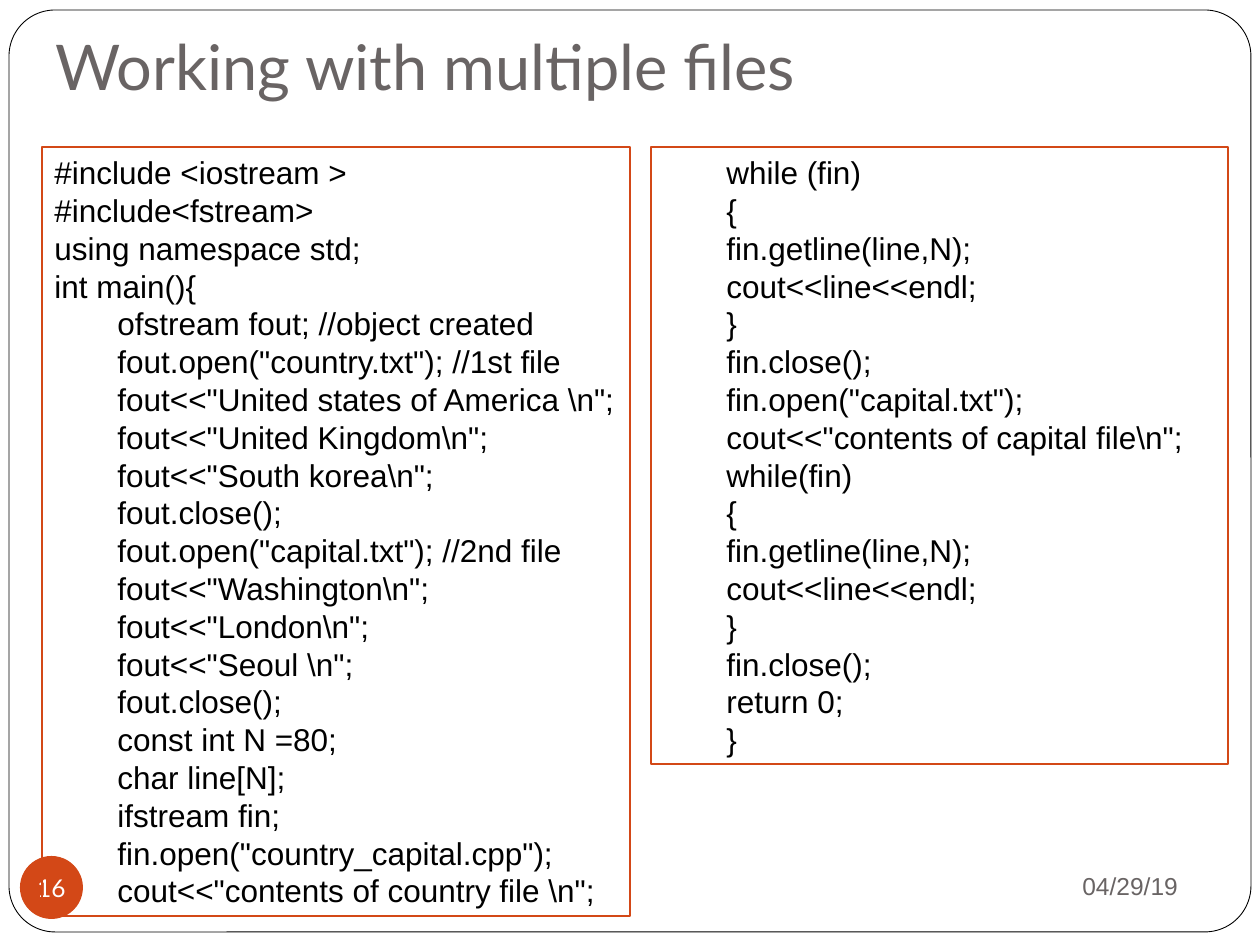
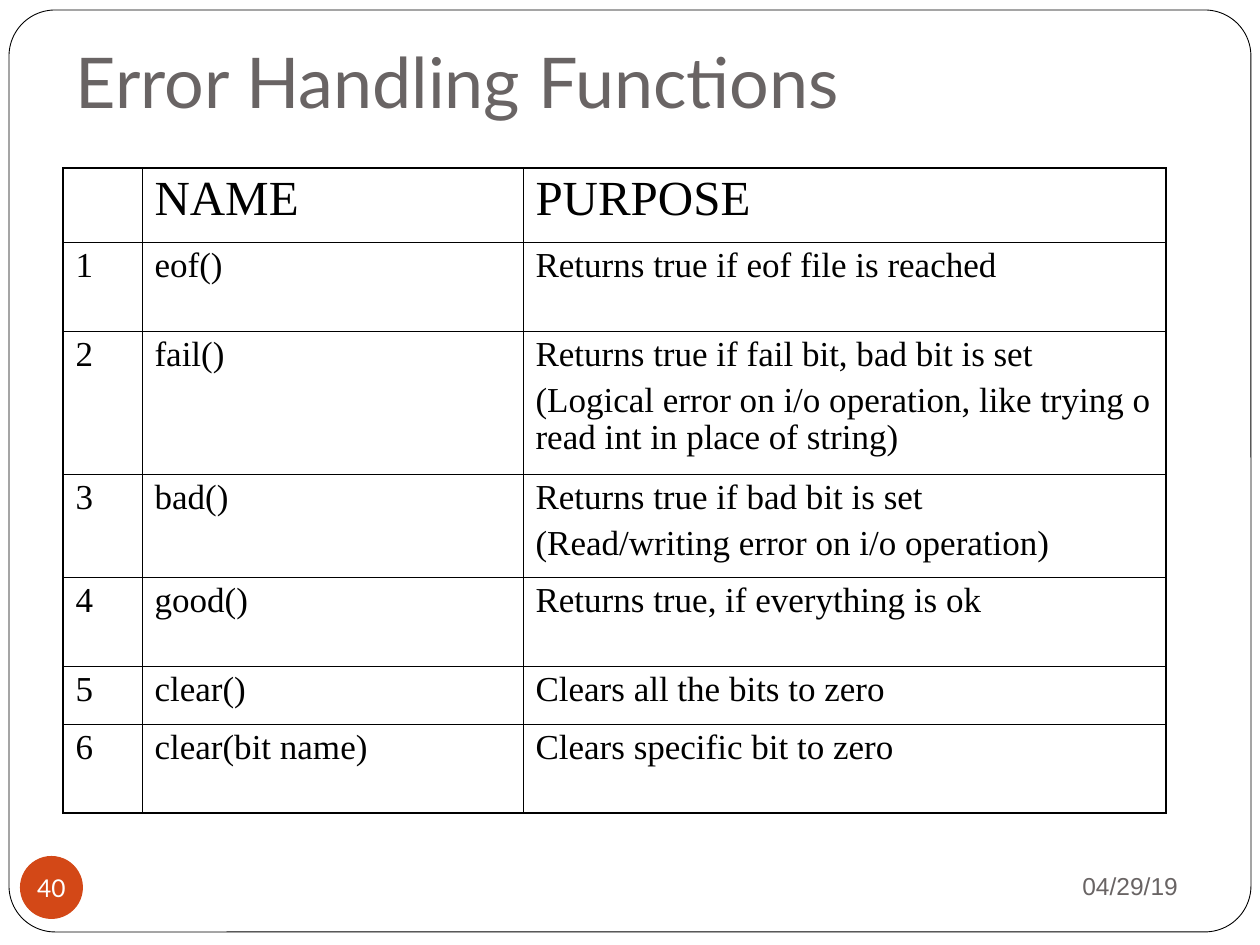
from dataclasses import dataclass

from lxml import etree
from pptx import Presentation, util as u
from pptx.dml.color import RGBColor
from pptx.enum import shapes, text
from pptx.oxml.ns import qn


@dataclass(frozen=True)
class Theme:
    black: str = "000000"
    white: str = "FFFFFF"
    gray: str = "696464"
    accent: str = "D34817"
    heading_font: str = "Lato"
    body_font: str = "Arial"
    table_font: str = "Times New Roman"
    title: int = 36
    large_title: int = 40
    header: int = 28
    cell: int = 20
    code: int = 18
    footer: int = 14
    frame_line: float = 0.5
    code_line: float = 0.75
    outer_border: float = 1.08
    inner_border: float = 0.45


THEME = Theme()
PX_PER_INCH = 126
SLIDE_SIZE = (1260, 945)
INDENT = 63
DATE = "04/29/19"

OPENING_CODE = r'''#include <iostream >
#include<fstream>
using namespace std;
int main(){
    ofstream fout; //object created
    fout.open("country.txt"); //1st file
    fout<<"United states of America \n";
    fout<<"United Kingdom\n";
    fout<<"South korea\n";
    fout.close();
    fout.open("capital.txt"); //2nd file
    fout<<"Washington\n";
    fout<<"London\n";
    fout<<"Seoul \n";
    fout.close();
    const int N =80;
    char line[N];
    ifstream fin;
    fin.open("country_capital.cpp");
    cout<<"contents of country file \n";'''

CLOSING_CODE = r'''    while (fin)
    {
    fin.getline(line,N);
    cout<<line<<endl;
    }
    fin.close();
    fin.open("capital.txt");
    cout<<"contents of capital file\n";
    while(fin)
    {
    fin.getline(line,N);
    cout<<line<<endl;
    }
    fin.close();
    return 0;
    }'''

COLUMN_WIDTHS = (79, 381, 643)
FUNCTION_ROWS = (
    (74, ("", "NAME", "PURPOSE")),
    (89, ("1", "eof()", "Returns true if eof file is reached")),
    (143, ("2", "fail()", "Returns true if fail bit, bad bit is set\n"
           "(Logical error on i/o operation, like trying o read int in place of string)")),
    (103, ("3", "bad()", "Returns true if bad bit is set\n(Read/writing error on i/o operation)")),
    (89, ("4", "good()", "Returns true, if everything is ok")),
    (58, ("5", "clear()", "Clears all the bits to zero")),
    (89, ("6", "clear(bit name)", "Clears specific bit to zero")),
)


def px(length):
    return u.Emu(round(length * 914400 / PX_PER_INCH))


def color(value):
    return RGBColor.from_string(value)


def set_values(target, values):
    for name, value in values.items():
        setattr(target, name, value)


def style_font(font, name, size, shade):
    set_values(font, {"name": name, "size": u.Pt(size)})
    font.color.rgb = color(shade)


def write_lines(frame, lines, font, **paragraph_values):
    """Put one paragraph per line into a text frame; font is (name, size, colour)."""
    for index, line in enumerate(lines):
        paragraph = frame.paragraphs[0] if index == 0 else frame.add_paragraph()
        set_values(paragraph, paragraph_values)
        run = paragraph.add_run()
        run.text = line
        style_font(run.font, *font)


def add_text(slide, box, line, font, bottom_inset=6, **frame_values):
    alignment = frame_values.pop("alignment", text.PP_ALIGN.LEFT)
    frame = slide.shapes.add_textbox(*map(px, box)).text_frame
    set_values(frame, {"word_wrap": True, "margin_left": px(13), "margin_right": px(13),
                       "margin_top": px(6), "margin_bottom": px(bottom_inset), **frame_values})
    write_lines(frame, [line], font, alignment=alignment)


def add_plain_shape(slide, kind, box, fill=None, line=None, width=0):
    shape = slide.shapes.add_shape(kind, *map(px, box))
    shape.shadow.inherit = False
    if fill:
        shape.fill.solid()
        shape.fill.fore_color.rgb = color(fill)
    else:
        shape.fill.background()
    if line:
        shape.line.color.rgb = color(line)
        shape.line.width = u.Pt(width)
    else:
        shape.line.fill.background()
    return shape


def add_frame(slide):
    frame = add_plain_shape(slide, shapes.MSO_SHAPE.ROUNDED_RECTANGLE, (9, 10, 1242, 922),
                            line=THEME.black, width=THEME.frame_line)
    frame.adjustments[0] = 0.05


def add_footer(slide, number):
    add_text(slide, (850, 853, 341, 66), DATE, (THEME.body_font, THEME.footer, THEME.gray),
             vertical_anchor=text.MSO_ANCHOR.MIDDLE, alignment=text.PP_ALIGN.RIGHT)
    badge = add_plain_shape(slide, shapes.MSO_SHAPE.OVAL, (20, 856, 63, 63), fill=THEME.accent)
    set_values(badge.text_frame, {"margin_left": 0, "margin_right": 0, "margin_top": 0,
                                  "margin_bottom": 0, "word_wrap": False,
                                  "vertical_anchor": text.MSO_ANCHOR.MIDDLE})
    write_lines(badge.text_frame, [str(number)],
                (THEME.heading_font, THEME.footer, THEME.white), alignment=text.PP_ALIGN.CENTER)


def add_base_slide(presentation, title, title_box, title_size, number):
    """Add a blank slide with the shared frame, title, date and number badge."""
    slide = presentation.slides.add_slide(presentation.slide_layouts[6])
    add_frame(slide)
    add_text(slide, title_box, title, (THEME.heading_font, title_size, THEME.gray),
             bottom_inset=13, vertical_anchor=text.MSO_ANCHOR.BOTTOM)
    add_footer(slide, number)
    return slide


def add_code_box(slide, box, code):
    """Show code in an outlined box, turning leading spaces into an indent."""
    shape = add_plain_shape(slide, shapes.MSO_SHAPE.RECTANGLE, box,
                            line=THEME.accent, width=THEME.code_line)
    frame = shape.text_frame
    set_values(frame, {"word_wrap": True, "vertical_anchor": text.MSO_ANCHOR.TOP,
                       "auto_size": text.MSO_AUTO_SIZE.SHAPE_TO_FIT_TEXT})
    lines = code.split("\n")
    write_lines(frame, [line.lstrip() for line in lines],
                (THEME.body_font, THEME.code, THEME.black), alignment=text.PP_ALIGN.LEFT)
    for paragraph, line in zip(frame.paragraphs, lines):
        if line.startswith(" "):
            properties = paragraph._p.get_or_add_pPr()
            properties.set("marL", str(px(INDENT)))
            properties.set("indent", "0")


def set_borders(cell, outer_sides):
    """Draw all four cell borders, heavier on the outer sides."""
    properties = cell._tc.get_or_add_tcPr()
    for index, side in enumerate("LRTB"):
        width = THEME.outer_border if side in outer_sides else THEME.inner_border
        border = etree.Element(qn(f"a:ln{side}"), w=str(u.Pt(width)))
        fill = etree.SubElement(border, qn("a:solidFill"))
        etree.SubElement(fill, qn("a:srgbClr"), val=THEME.black)
        properties.insert(index, border)


def fill_cell(cell, content, size):
    cell.fill.solid()
    cell.fill.fore_color.rgb = color(THEME.white)
    if content:
        write_lines(cell.text_frame, content.split("\n"),
                    (THEME.table_font, size, THEME.black), line_spacing=0.95)
        for paragraph in cell.text_frame.paragraphs[1:]:
            paragraph.space_before = u.Pt(5)


def add_function_table(slide, left, top):
    heights = [height for height, _ in FUNCTION_ROWS]
    box = (left, top, sum(COLUMN_WIDTHS), sum(heights))
    last_row, last_column = len(heights) - 1, len(COLUMN_WIDTHS) - 1
    table = slide.shapes.add_table(last_row + 1, last_column + 1, *map(px, box)).table
    set_values(table, {"first_row": False, "horz_banding": False})
    for column, width in zip(table.columns, COLUMN_WIDTHS):
        column.width = px(width)
    for row_index, (height, contents) in enumerate(FUNCTION_ROWS):
        table.rows[row_index].height = px(height)
        size = THEME.cell if row_index else THEME.header
        for column_index, content in enumerate(contents):
            cell = table.cell(row_index, column_index)
            fill_cell(cell, content, size)
            at_edge = {"L": column_index == 0, "R": column_index == last_column,
                       "T": row_index == 0, "B": row_index == last_row}
            set_borders(cell, [side for side, outer in at_edge.items() if outer])


def add_code_slide(presentation):
    slide = add_base_slide(presentation, "Working with multiple files",
                           (42, 38, 1155, 78), THEME.title, 16)
    add_code_box(slide, (42, 147, 588, 769), OPENING_CODE)
    add_code_box(slide, (651, 147, 577, 617), CLOSING_CODE)


def add_table_slide(presentation):
    slide = add_base_slide(presentation, "Error Handling Functions",
                           (63, 38, 1134, 98), THEME.large_title, 40)
    add_function_table(slide, 63, 168)


def main():
    presentation = Presentation()
    presentation.slide_width, presentation.slide_height = map(px, SLIDE_SIZE)
    add_code_slide(presentation)
    add_table_slide(presentation)
    presentation.save("out.pptx")


if __name__ == "__main__":
    main()
